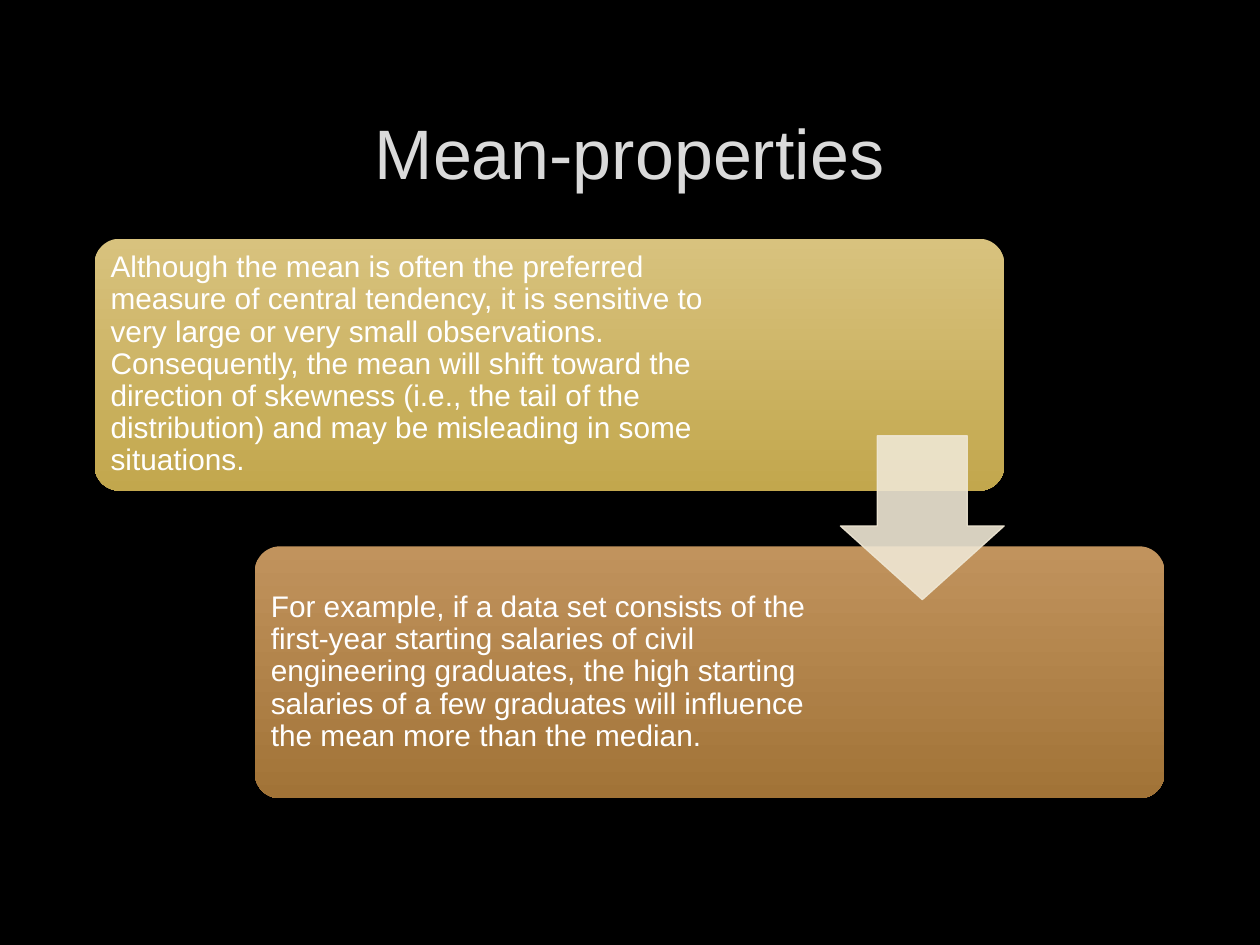
"""Build the Mean-properties slide: two stepped cards joined by an arrow."""
from lxml import etree
from pptx import Presentation
from pptx.dml.color import RGBColor
from pptx.enum.shapes import MSO_SHAPE as Kind
from pptx.enum.text import MSO_ANCHOR as Anchor, PP_ALIGN as Align
from pptx.oxml.ns import qn
from pptx.util import Pt


def tint(color, code):
    color.rgb = RGBColor.from_string(code)


def write(frame, text, size, code, align):
    frame.text = text
    frame.word_wrap = True
    frame.vertical_anchor = Anchor.MIDDLE
    line = frame.paragraphs[0]
    line.alignment = align
    font = line.runs[0].font
    font.name, font.size = "Arial", Pt(size)
    tint(font.color, code)
    return line


deck = Presentation()
deck.slide_width, deck.slide_height = Pt(720), Pt(540)
slide = deck.slides.add_slide(deck.slide_layouts[5])
back = slide.background.fill
back.solid()
tint(back.fore_color, "000000")

title = slide.shapes.title
title.left, title.top, title.width, title.height = Pt(54), Pt(48.24), Pt(611.28), Pt(76.32)
write(title.text_frame, "Mean-properties", 40, "DADADA", Align.CENTER)

wide, high, inset = 519.84, 144, 4.2
cards = [
    (54, 136.4, 370.8, "D8C27E", "C2A74D",
     "Although the mean is often the preferred measure of central tendency, "
     "it is sensitive to very large or very small observations. Consequently, "
     "the mean will shift toward the direction of skewness (i.e., the tail of "
     "the distribution) and may be misleading in some situations."),
    (145.6, 312.2, 326.16, "C1935D", "A17337",
     "For example, if a data set consists of the first-year starting salaries "
     "of civil engineering graduates, the high starting salaries of a few "
     "graduates will influence the mean more than the median."),
]
for left, top, span, light, dark, text in cards:
    card = slide.shapes.add_shape(Kind.ROUNDED_RECTANGLE, Pt(left), Pt(top), Pt(wide), Pt(high))
    card.adjustments[0] = 0.1
    card.shadow.inherit = False
    card.line.fill.background()
    card.fill.gradient()
    card.fill.gradient_angle = 270
    for stop, code in zip(card.fill.gradient_stops, (light, dark)):
        tint(stop.color, code)

    box = slide.shapes.add_textbox(
        Pt(left + inset), Pt(top + inset), Pt(span), Pt(high - 2 * inset))
    frame = box.text_frame
    frame.margin_left = frame.margin_right = Pt(5)
    frame.margin_top = frame.margin_bottom = Pt(5)
    line = write(frame, text, 17, "FFFFFF", Align.LEFT)
    line.line_spacing = 0.9

arrow = slide.shapes.add_shape(Kind.DOWN_ARROW, Pt(480.24), Pt(249.12), Pt(93.6), Pt(93.6))
arrow.adjustments[0], arrow.adjustments[1] = 0.55, 0.45
arrow.shadow.inherit = False
arrow.line.width = Pt(0.75)
arrow.fill.solid()
arrow.line.fill.solid()
for fill in (arrow.fill, arrow.line.fill):
    tint(fill.fore_color, "EFE7D4")
for code in arrow.element.spPr.iter(qn("a:srgbClr")):
    etree.SubElement(code, qn("a:alpha")).set("val", "90000")

deck.save("out.pptx")
